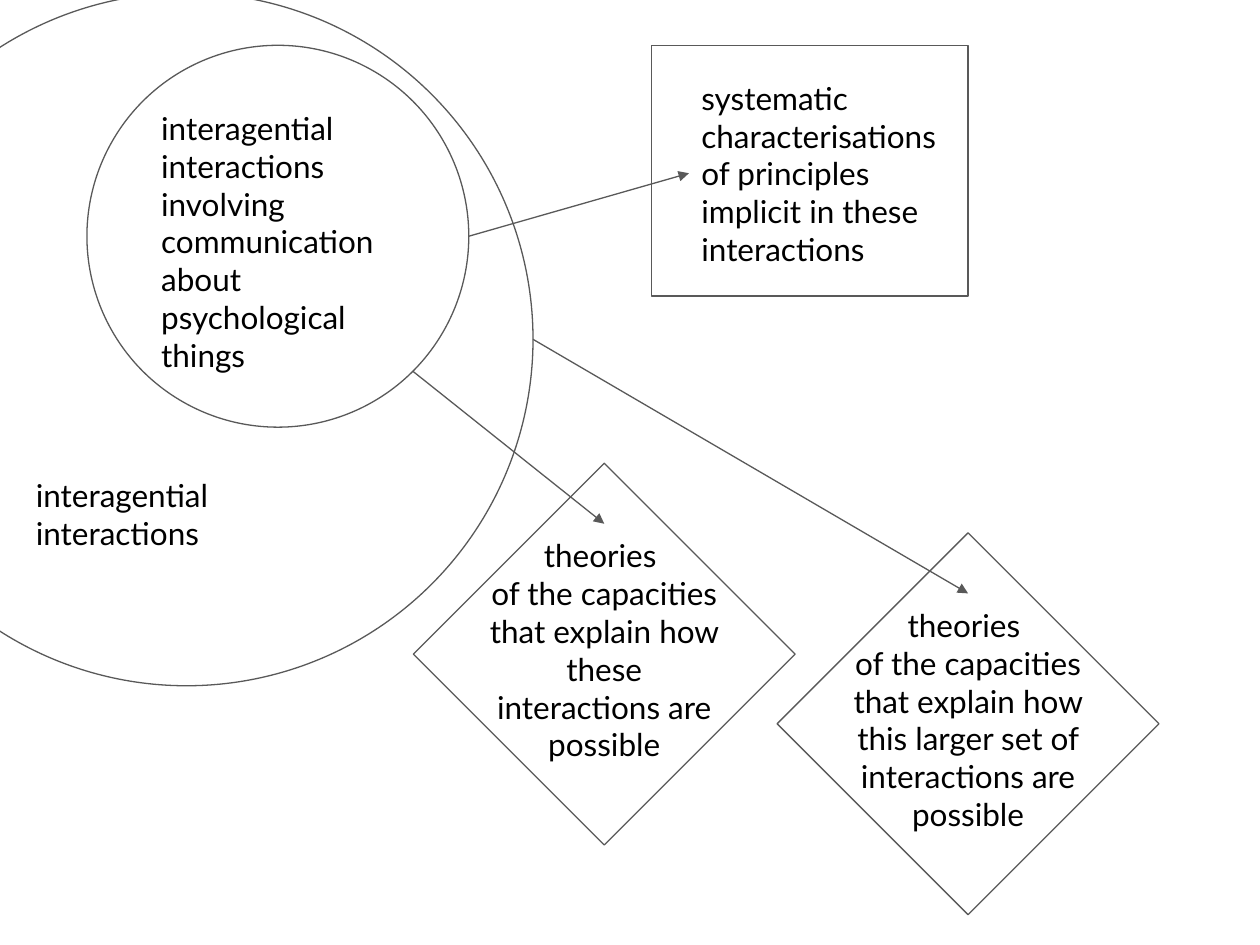
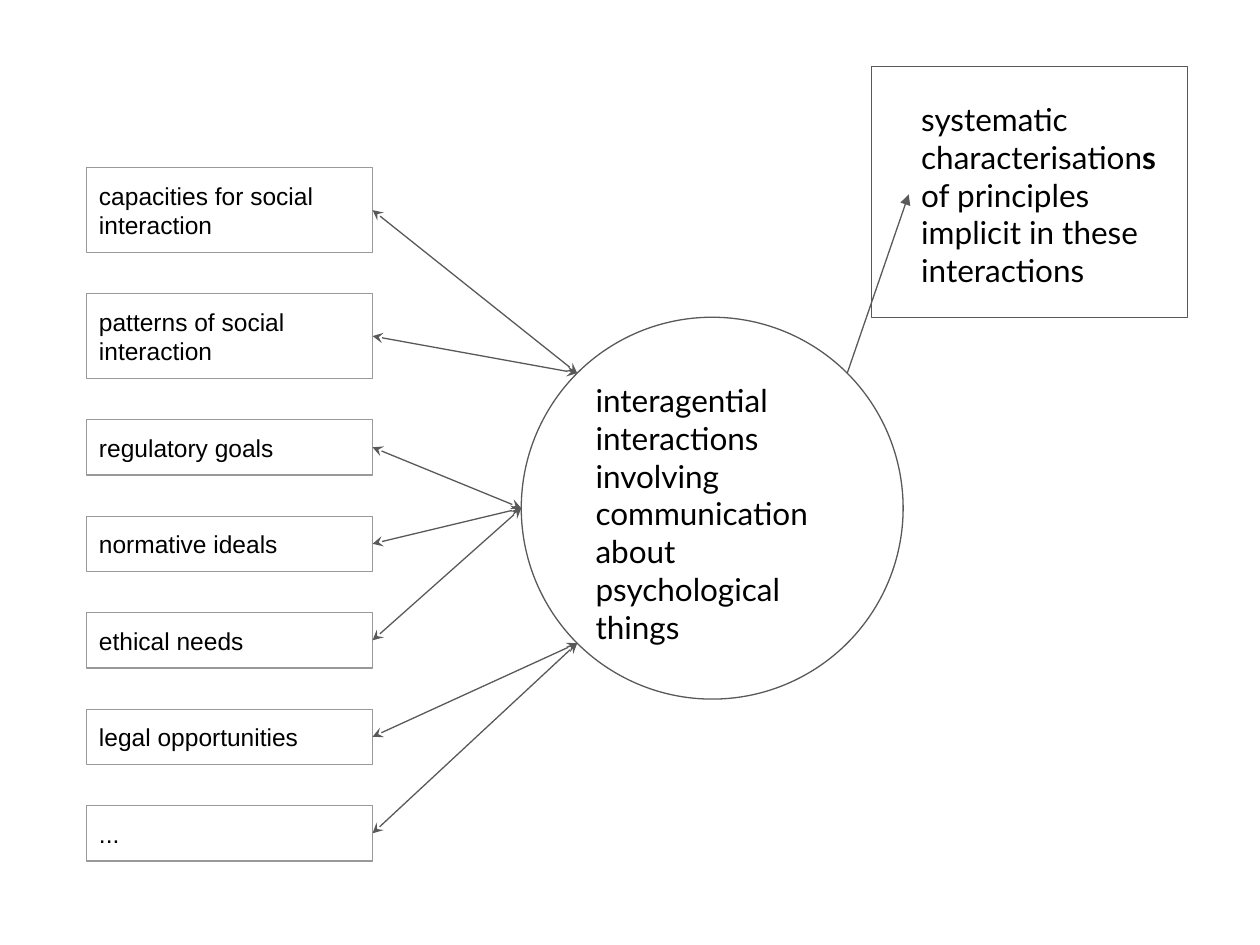
import math
from dataclasses import dataclass
from typing import Optional

import pptx
import pptx.dml.color
import pptx.enum.shapes
import pptx.enum.text
import pptx.oxml.ns
import pptx.util
from lxml import etree

RGBColor = pptx.dml.color.RGBColor
Pt = pptx.util.Pt
ShapeKind = pptx.enum.shapes.MSO_SHAPE
Align = pptx.enum.text.PP_ALIGN
Anchor = pptx.enum.text.MSO_ANCHOR

# Shared style
BLACK = RGBColor(0x00, 0x00, 0x00)
WHITE = RGBColor(0xFF, 0xFF, 0xFF)
DARK_GREY = RGBColor(0x59, 0x59, 0x59)
LIGHT_GREY = RGBColor(0x99, 0x99, 0x99)
LINE_WIDTH = 0.75
INSET = 7.2
NODE_SIZE = 218.2  # diameter of a circle, and both diagonals of a diamond

INTERACTIONS = ("interagential interactions involving communication "
                "about psychological things")
THEORIES = "theories \vof the capacities that explain how {} interactions are possible"
PRINCIPLES = ("systematic characterisation", "s",
              " of principles implicit in these interactions")


@dataclass(frozen=True)
class Area:
    """A rectangle on the page, in points."""
    left: float
    top: float
    width: float
    height: float

    @property
    def center(self) -> tuple[float, float]:
        return self.left + self.width / 2, self.top + self.height / 2

    @property
    def left_middle(self) -> tuple[float, float]:
        return self.left, self.center[1]

    @property
    def right_middle(self) -> tuple[float, float]:
        return self.left + self.width, self.center[1]

    @property
    def top_middle(self) -> tuple[float, float]:
        return self.center[0], self.top

    def on_circle(self, degrees: float) -> tuple[float, float]:
        """Point on the inscribed circle, clockwise from the right."""
        angle = math.radians(degrees)
        x, y = self.center
        return (x + self.width / 2 * math.cos(angle),
                y + self.height / 2 * math.sin(angle))

    def inner(self, across: float, down: float, width: float, height: float) -> "Area":
        return Area(self.left + across, self.top + down, width, height)

    def lengths(self) -> list[int]:
        return [Pt(value) for value in (self.left, self.top, self.width, self.height)]


@dataclass(frozen=True)
class Label:
    """A boxed phrase and the circle point (in degrees) it is linked to."""
    text: str
    height: float
    link_angle: float


def draw_outline(shapes, kind, area: Area, color: Optional[RGBColor] = DARK_GREY,
                 fill: Optional[RGBColor] = None):
    shape = shapes.add_shape(kind, *area.lengths())
    shape.shadow.inherit = False
    if fill is None:
        shape.fill.background()
    else:
        shape.fill.solid()
        shape.fill.fore_color.rgb = fill
    if color is None:
        shape.line.fill.background()
    else:
        shape.line.color.rgb = color
        shape.line.width = Pt(LINE_WIDTH)
    return shape


def write_text(shape, *spans: str, font: str = "Lato", size: float = 18,
               align=Align.LEFT, anchor=Anchor.TOP) -> None:
    frame = shape.text_frame
    frame.word_wrap = True
    frame.auto_size = pptx.enum.text.MSO_AUTO_SIZE.SHAPE_TO_FIT_TEXT
    frame.vertical_anchor = anchor
    frame.margin_left = frame.margin_right = Pt(INSET)
    frame.margin_top = frame.margin_bottom = Pt(INSET)
    para = frame.paragraphs[0]
    para.alignment = align
    para.font.name = font
    para.font.size = Pt(size)
    para.font.color.rgb = BLACK
    if len(spans) == 1:
        para.text = spans[0]
    else:
        for text in spans:
            para.add_run().text = text


def draw_text(shapes, area: Area, text: str, align=Align.LEFT) -> None:
    write_text(shapes.add_textbox(*area.lengths()), text, align=align)


def draw_arrow(page, start: tuple[float, float], end: tuple[float, float],
               head: Optional[str] = None, tail: str = "triangle") -> None:
    arrow = page.shapes.add_connector(pptx.enum.shapes.MSO_CONNECTOR.STRAIGHT,
                                      *[Pt(value) for value in (*start, *end)])
    arrow.line.color.rgb = DARK_GREY
    arrow.line.width = Pt(LINE_WIDTH)
    qualified = pptx.oxml.ns.qn
    line = arrow.line._get_or_add_ln()
    for tag, kind in (("a:headEnd", head), ("a:tailEnd", tail)):
        if kind:
            etree.SubElement(line, qualified(tag), type=kind)
    etree.SubElement(arrow._element.spPr, qualified("a:effectLst"))


def draw_interactions(page, left: float, top: float) -> Area:
    """Circle of interactions; returns its area."""
    circle = Area(left, top, NODE_SIZE, NODE_SIZE)
    group = page.shapes.add_group_shape()
    draw_outline(group.shapes, ShapeKind.OVAL, circle)
    draw_text(group.shapes, circle.inner(35.3, 29.2, 142.6, 167), INTERACTIONS)
    return circle


def draw_principles(page, left: float, top: float, *spans: str):
    """Framed principles; returns the text area and its paragraph."""
    frame = Area(left, top, 180.7, 143.3)
    text_area = frame.inner(21.3, 11.2, 149.2, 123.8)
    group = page.shapes.add_group_shape()
    draw_outline(group.shapes, ShapeKind.RECTANGLE, frame, fill=WHITE)
    box = draw_outline(group.shapes, ShapeKind.RECTANGLE, text_area, color=None, fill=WHITE)
    write_text(box, *spans, anchor=Anchor.MIDDLE)
    return text_area, box.text_frame.paragraphs[0]


def draw_theories(page, left: float, top: float, subject: str) -> Area:
    """Diamond of theories; returns its text area."""
    diamond = Area(left, top, NODE_SIZE, NODE_SIZE)
    text_area = diamond.inner(32.4, 34.6, 153.4, 145.4)
    draw_outline(page.shapes, ShapeKind.DIAMOND, diamond, fill=WHITE)
    draw_text(page.shapes, text_area, THEORIES.format(subject), Align.CENTER)
    return text_area


def build_theories_page(page) -> None:
    # Nested sets of interactions
    all_interactions = Area(-91.4, -4.1, 396, 396)
    draw_outline(page.shapes, ShapeKind.OVAL, all_interactions)
    draw_text(page.shapes, Area(13.4, 265, 142.6, 58.3), "interagential interactions")
    circle = draw_interactions(page, 49.7, 25.9)

    # What is said about them
    these = draw_theories(page, 236.2, 264.7, "these")
    larger = draw_theories(page, 444.1, 304.5, "this larger set of")
    principles, _ = draw_principles(page, 372.4, 25.9, "".join(PRINCIPLES))

    draw_arrow(page, circle.on_circle(0), principles.left_middle)
    draw_arrow(page, circle.on_circle(45), these.top_middle)
    draw_arrow(page, all_interactions.on_circle(0), larger.top_middle)


def build_influences_page(page) -> None:
    # Interactions and their principles
    circle = draw_interactions(page, 297.9, 181.3)
    principles, para = draw_principles(page, 498, 38, *PRINCIPLES)
    para.runs[1].font.bold = True
    draw_arrow(page, circle.on_circle(-45), principles.left_middle)

    # Column of labels, evenly spaced, each linked to the circle
    one_line, two_lines, gap = 31.6, 48.4, 23.55
    upper, middle, lower = 225, 180, 135
    labels = [
        Label("capacities for social interaction", two_lines, upper),
        Label("patterns of social interaction", two_lines, upper),
        Label("regulatory goals", one_line, middle),
        Label("normative ideals", one_line, middle),
        Label("ethical needs", one_line, middle),
        Label("legal opportunities", one_line, lower),
        Label("...", one_line, lower),
    ]
    top = 95.9
    for label in labels:
        area = Area(49.5, top, 163.4, label.height)
        box = draw_outline(page.shapes, ShapeKind.RECTANGLE, area, LIGHT_GREY)
        write_text(box, label.text, font="Arial", size=14, anchor=Anchor.MIDDLE)
        draw_arrow(page, area.right_middle, circle.on_circle(label.link_angle),
                   head="stealth", tail="stealth")
        top += label.height + gap


deck = pptx.Presentation()
deck.slide_width, deck.slide_height = Pt(720), Pt(540)
blank_layout = deck.slide_layouts[6]
for build_page in (build_theories_page, build_influences_page):
    build_page(deck.slides.add_slide(blank_layout))
deck.save("out.pptx")
